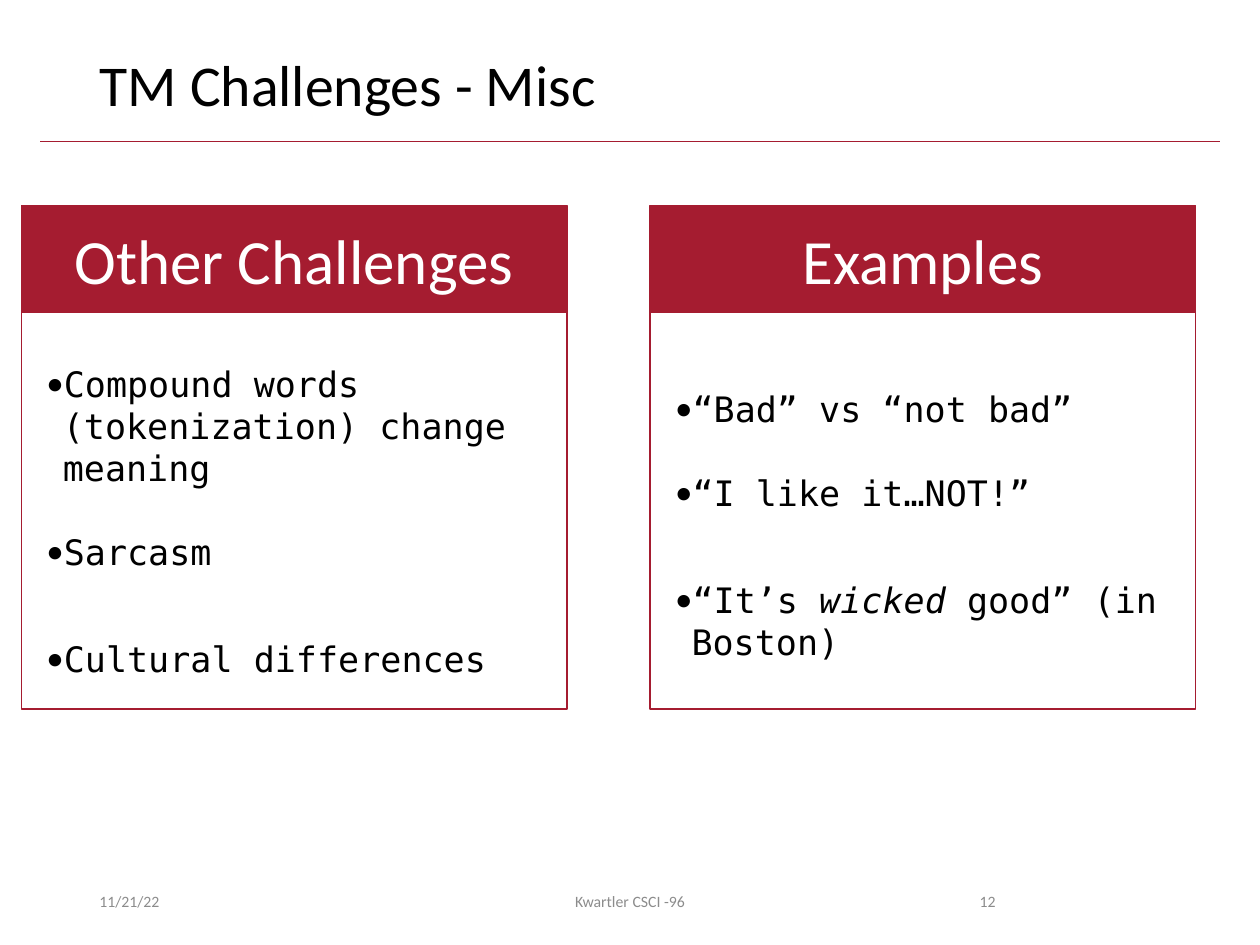
from dataclasses import dataclass

from lxml.etree import SubElement
from pptx import Presentation
from pptx.dml.color import RGBColor
from pptx.enum.shapes import MSO_CONNECTOR, MSO_SHAPE
from pptx.enum.text import MSO_ANCHOR, MSO_AUTO_SIZE, PP_ALIGN
from pptx.oxml.ns import qn
from pptx.util import Inches, Pt


@dataclass(frozen=True)
class Theme:
    """Colours, fonts and type sizes of the deck."""
    accent: RGBColor = RGBColor(0xA5, 0x1C, 0x30)
    ink: RGBColor = RGBColor(0, 0, 0)
    paper: RGBColor = RGBColor(0xFF, 0xFF, 0xFF)
    muted: RGBColor = RGBColor(0x8C, 0x8C, 0x8C)
    sans: str = "Calibri"
    mono: str = "DejaVu Sans Mono"
    title: Pt = Pt(33)
    heading: Pt = Pt(36)
    body: Pt = Pt(20)
    footer: Pt = Pt(9)


def apply(target, values):
    """Set each attribute named in values on target."""
    for name, value in values.items():
        setattr(target, name, value)


class SlideBuilder:
    """Draws styled elements on the current slide."""

    def __init__(self, slide, theme):
        self.slide = slide
        self.theme = theme

    def span(self, para, text, size, color, font, italic=False):
        """Add one formatted run to a paragraph."""
        span = para.add_run()
        span.text = text
        apply(span.font, {"size": size, "name": font, "italic": italic})
        span.font.color.rgb = color

    def line_of_text(self, shape, text, size, color, align, anchor):
        """Fill a shape with a single formatted paragraph."""
        apply(shape.text_frame, {"word_wrap": True, "vertical_anchor": anchor,
                                 "auto_size": MSO_AUTO_SIZE.NONE})
        para = shape.text_frame.paragraphs[0]
        para.alignment = align
        self.span(para, text, size, color, self.theme.sans)
        return para

    def title(self, text, area):
        """Place and format the title placeholder."""
        title = self.slide.shapes.title
        apply(title, dict(zip(("left", "top", "width", "height"), map(Inches, area))))
        para = self.line_of_text(title, text, self.theme.title, self.theme.ink,
                                 PP_ALIGN.LEFT, MSO_ANCHOR.TOP)
        para.line_spacing = 0.9

    def rule(self, left, right, top):
        """Draw the thin horizontal rule."""
        rule = self.slide.shapes.add_connector(
            MSO_CONNECTOR.STRAIGHT, *map(Inches, (left, top, right, top)))
        rule.line.color.rgb = self.theme.accent
        rule.line.width = Pt(0.5)
        SubElement(rule._element.spPr, qn("a:effectLst"))

    def footer(self, text, left, width, align):
        """Add one footer field."""
        box = self.slide.shapes.add_textbox(*map(Inches, (left, 6.95, width, 0.4)))
        self.line_of_text(box, text, self.theme.footer, self.theme.muted,
                          align, MSO_ANCHOR.MIDDLE)

    def rectangle(self, area, filled):
        """Add an accent-outlined rectangle, filled or open."""
        shape = self.slide.shapes.add_shape(MSO_SHAPE.RECTANGLE, *map(Inches, area))
        shape.shadow.inherit = False
        if filled:
            shape.fill.solid()
            shape.fill.fore_color.rgb = self.theme.accent
        else:
            shape.fill.background()
        shape.line.color.rgb = self.theme.accent
        shape.line.width = Pt(1)
        return shape

    def bullets(self, items, area):
        """Add a bulleted list of (space before, spans) items."""
        box = self.slide.shapes.add_textbox(*map(Inches, area))
        frame = box.text_frame
        frame.word_wrap = True
        for index, (space, spans) in enumerate(items):
            para = frame.add_paragraph() if index else frame.paragraphs[0]
            props = para._p.get_or_add_pPr()
            props.set("marL", str(Inches(0.13)))
            props.set("indent", str(-Inches(0.13)))
            SubElement(props, qn("a:buFont")).set("typeface", self.theme.sans)
            SubElement(props, qn("a:buChar")).set("char", "•")
            para.space_before = Pt(space)
            for text, italic in spans:
                self.span(para, text, self.theme.body, self.theme.ink,
                          self.theme.mono, italic)

    def panel(self, left, heading, items, list_top, list_height):
        """Add a headed panel with its bulleted list."""
        self.bullets(items, (left + 0.1, list_top, 4.15, list_height))
        header = self.rectangle((left, 1.63, 4.33, 0.85), True)
        self.line_of_text(header, heading, self.theme.heading, self.theme.paper,
                          PP_ALIGN.CENTER, MSO_ANCHOR.MIDDLE)
        self.rectangle((left, 1.78, 4.33, 3.85), False)


def main():
    """Build and save the deck."""
    deck = Presentation()
    apply(deck, {"slide_width": Inches(10), "slide_height": Inches(7.5)})
    page = SlideBuilder(deck.slides.add_slide(deck.slide_layouts[5]), Theme())
    page.rule(0.32, 9.68, 1.12)
    page.title("TM Challenges - Misc", (0.69, 0.4, 8.62, 0.65))
    for field in (("11/21/22", 0.69, 2.25, PP_ALIGN.LEFT),
                  ("Kwartler CSCI -96", 3.31, 3.38, PP_ALIGN.CENTER),
                  ("12", 7.06, 0.94, PP_ALIGN.RIGHT)):
        page.footer(*field)
    gaps = (0, 24, 37)
    challenges = (
        [("Compound words (tokenization) change meaning", False)],
        [("Sarcasm", False)],
        [("Cultural differences", False)],
    )
    examples = (
        [("“Bad” vs “not bad”", False)],
        [("“I like it…NOT!”", False)],
        [("“It’s ", False), ("wicked", True), (" good” (in Boston)", False)],
    )
    page.panel(0.17, "Other Challenges", zip(gaps, challenges), 2.83, 2.31)
    page.panel(5.16, "Examples", zip(gaps, examples), 3.03, 1.97)
    deck.save("out.pptx")


if __name__ == "__main__":
    main()
